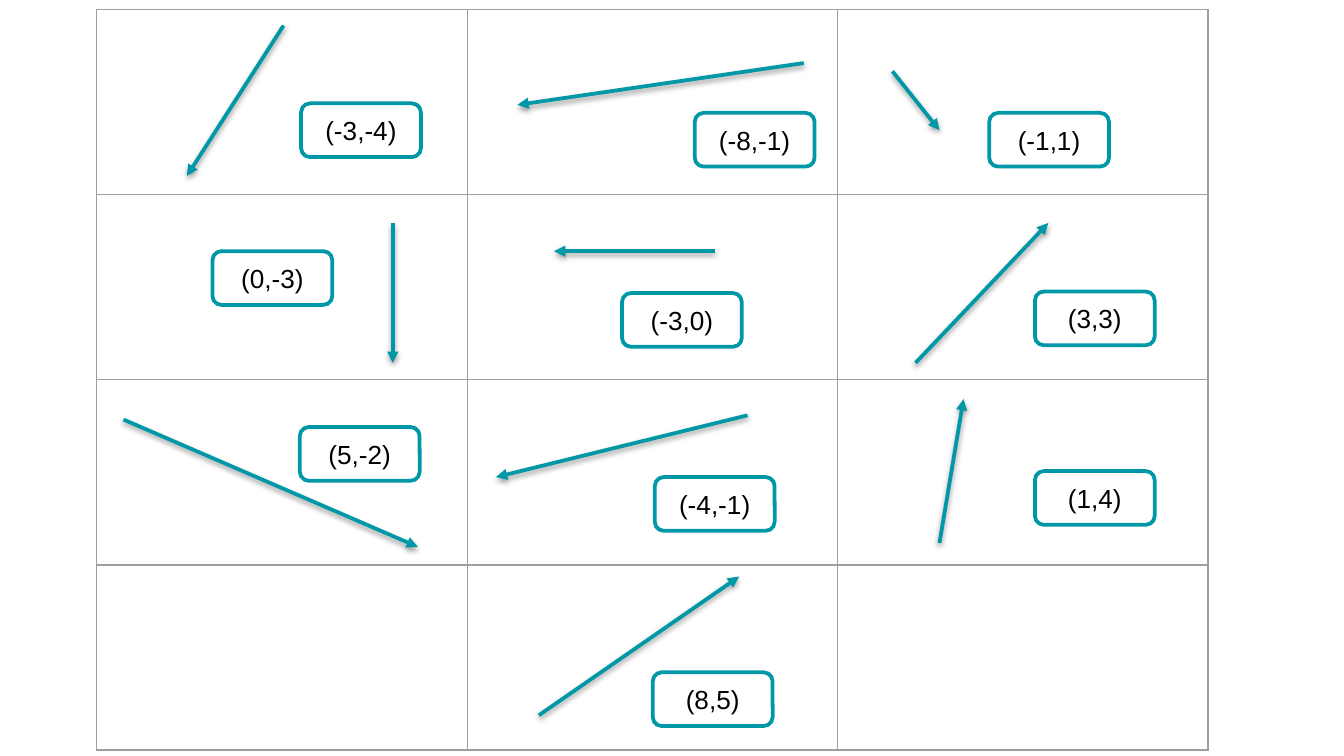
import lxml.etree
import pptx
import pptx.dml.color
import pptx.enum.shapes
import pptx.enum.text
import pptx.oxml
import pptx.oxml.ns
import pptx.util

Pt = pptx.util.Pt
SHAPES = pptx.enum.shapes.MSO_SHAPE
COLORS = {"paper": "FFFFFF", "teal": "0097A7", "grid": "9E9E9E", "ink": "000000"}
FONT = "Arial"
SLIDE_W, SLIDE_H = 720, 405
GRID_LEFT, GRID_TOP = 51.9, 5.1
COL_W, ROW_H = 198.4, 99.2
ROWS, COLS = 4, 3
LABEL_W, LABEL_H = 64.2, 28.8

# Vector, label corner, arrow start, arrow end
VECTORS = [
    ("(-3,-4)", (161.3, 55.4), (151.9, 13.7), (100.1, 94.3)),
    ("(-8,-1)", (372.2, 60.5), (430.6, 33.8), (277.2, 56.2)),
    ("(-1,1)", (529.9, 60.5), (478.1, 38.2), (503.3, 69.8)),
    ("(0,-3)", (113.8, 134.6), (210.4, 119.5), (210.4, 194.4)),
    ("(-3,0)", (333.2, 157), (383, 134.6), (296.8, 134.6)),
    ("(3,3)", (554.4, 156.2), (490.5, 194.4), (561.6, 119.5)),
    ("(5,-2)", (160.6, 228.8), (66.2, 224.8), (223.9, 293)),
    ("(-4,-1)", (350.8, 255.6), (400.5, 222.5), (265.7, 255.6)),
    ("(1,4)", (554.4, 252.4), (503.3, 290.9), (516.2, 213.8)),
    ("(8,5)", (349.7, 360.2), (288.7, 383.2), (396, 308.9)),
]


def rgb(name):
    return pptx.dml.color.RGBColor.from_string(COLORS[name])


def add_panel(slide, kind, left, top, width, height, outline):
    panel = slide.shapes.add_shape(kind, Pt(left), Pt(top), Pt(width), Pt(height))
    panel.shadow.inherit = False
    panel.fill.solid()
    panel.fill.fore_color.rgb = rgb("paper")
    panel.line.color.rgb = rgb(outline)
    panel.line.width = Pt(2)
    return panel


def add_label(slide, text, corner):
    label = add_panel(slide, SHAPES.ROUNDED_RECTANGLE, *corner, LABEL_W, LABEL_H, "teal")
    frame = label.text_frame
    frame.text = text
    frame.vertical_anchor = pptx.enum.text.MSO_ANCHOR.MIDDLE
    paragraph = frame.paragraphs[0]
    paragraph.alignment = pptx.enum.text.PP_ALIGN.CENTER
    font = paragraph.runs[0].font
    font.name = FONT
    font.size = Pt(14)
    font.color.rgb = rgb("ink")


def add_arrow(slide, start, end):
    arrow = slide.shapes.add_connector(
        pptx.enum.shapes.MSO_CONNECTOR.STRAIGHT, *map(Pt, start + end))
    arrow.line.color.rgb = rgb("teal")
    arrow.line.width = Pt(2)
    # Arrowhead at the end, soft shadow below
    qn = pptx.oxml.ns.qn
    head = lxml.etree.SubElement(arrow.line._get_or_add_ln(), qn("a:tailEnd"))
    head.set("type", "triangle")
    arrow._element.spPr.append(pptx.oxml.parse_xml(
        f'<a:effectLst {pptx.oxml.ns.nsdecls("a")}>'
        f'<a:outerShdw blurRad="{Pt(3.1)}" dist="{Pt(1.6)}" dir="5400000" rotWithShape="0">'
        f'<a:srgbClr val="{COLORS["ink"]}"><a:alpha val="38000"/></a:srgbClr>'
        '</a:outerShdw></a:effectLst>'))


def set_borders(cell):
    properties = cell._tc.get_or_add_tcPr()
    for position, side in enumerate(("lnL", "lnR", "lnT", "lnB")):
        properties.insert(position, pptx.oxml.parse_xml(
            f'<a:{side} {pptx.oxml.ns.nsdecls("a")} w="{Pt(0.75)}"><a:solidFill>'
            f'<a:srgbClr val="{COLORS["grid"]}"/></a:solidFill></a:{side}>'))


def add_grid(slide):
    grid = slide.shapes.add_table(
        ROWS, COLS, Pt(GRID_LEFT), Pt(GRID_TOP), Pt(COLS * COL_W), Pt(ROWS * ROW_H)).table
    grid.first_row = False
    grid.horz_banding = False
    for column in grid.columns:
        column.width = Pt(COL_W)
    for row in grid.rows:
        row.height = Pt(ROW_H)
    for cell in grid.iter_cells():
        cell.fill.background()
        set_borders(cell)


def main():
    presentation = pptx.Presentation()
    presentation.slide_width = Pt(SLIDE_W)
    presentation.slide_height = Pt(SLIDE_H)
    slide = presentation.slides.add_slide(presentation.slide_layouts[6])

    # Backdrop and grid
    add_panel(slide, SHAPES.RECTANGLE, 0, 0, SLIDE_W, SLIDE_H, "paper")
    add_grid(slide)

    # Labelled vectors
    for text, corner, start, end in VECTORS:
        add_label(slide, text, corner)
        add_arrow(slide, start, end)

    presentation.save("out.pptx")


if __name__ == "__main__":
    main()
